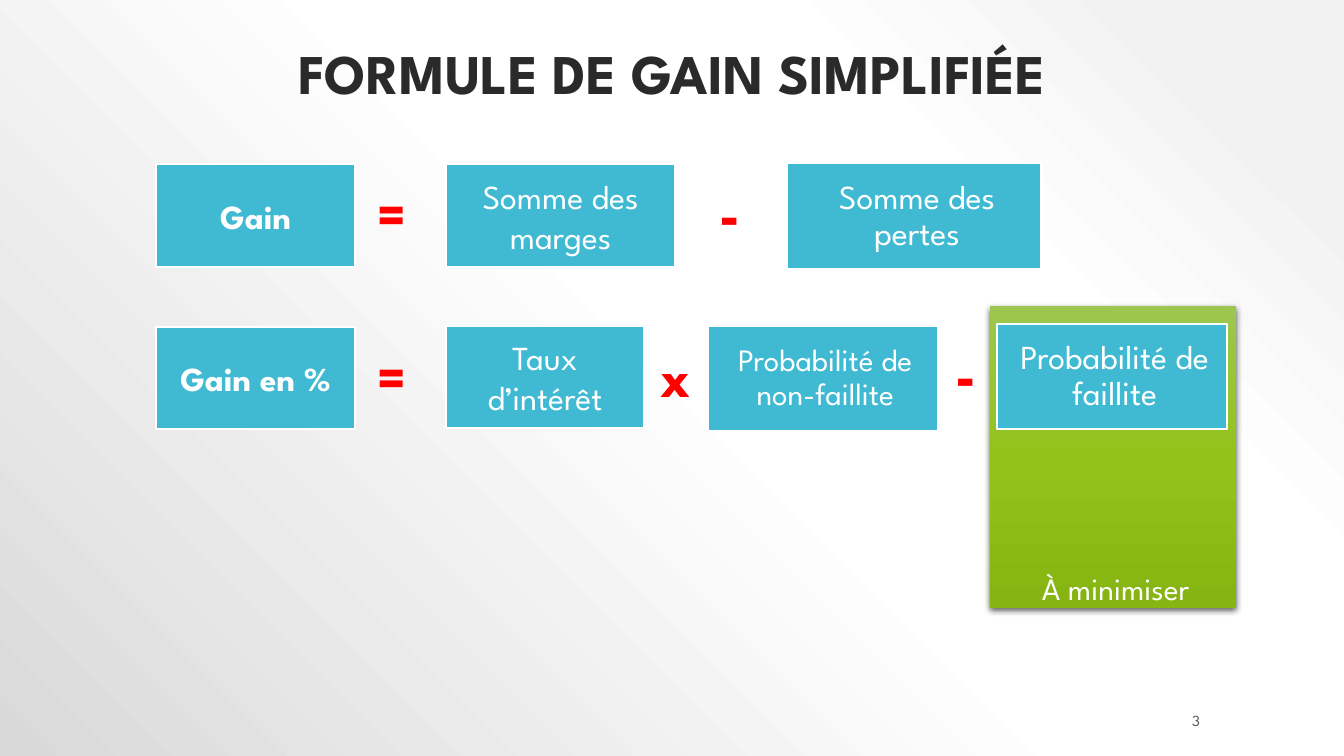
from lxml import etree
from pptx import Presentation
from pptx.dml.color import RGBColor
from pptx.enum import shapes, text
from pptx.oxml import ns
from pptx import util as u

PX = 9144  # EMU per px, 100 px to the inch
CENTER, MIDDLE = text.PP_ALIGN.CENTER, text.MSO_ANCHOR.MIDDLE


def color(value):
    return RGBColor.from_string(value)


def px(*lengths):
    return [u.Emu(length * PX) for length in lengths]


def add_xml(parent, tag, **attributes):
    return etree.SubElement(parent, ns.qn(tag), attributes)


class Slide:
    font, white, dark, red, blue = "League Spartan", "FFFFFF", "2A2A2A", "FF0000", "40BAD2"

    def __init__(self, deck):
        self.page = deck.slides.add_slide(deck.slide_layouts[5])

    def set_text(self, shape, words, size, ink, bold=False, align=CENTER,
                 anchor=MIDDLE, spacing=1.0, indent=0, wrap=True):
        frame = shape.text_frame
        frame.word_wrap, frame.vertical_anchor = wrap, anchor
        para = frame.paragraphs[0]
        para.text, para.alignment, para.line_spacing = words, align, spacing
        font = para.font
        font.name, font.size, font.bold = self.font, u.Pt(size), bold
        font.color.rgb = color(ink)
        if indent:
            properties = para._p.get_or_add_pPr()
            properties.set("marL", str(indent * PX))
            properties.set("indent", "0")

    def gradient(self, fill, owner, stops):
        """Fill with (percent, colour) stops and return the gradient element."""
        fill.gradient()
        grad = owner.find(".//" + ns.qn("a:gradFill"))
        for child in list(grad):
            grad.remove(child)
        stop_list = add_xml(grad, "a:gsLst")
        for percent, value in stops:
            stop = add_xml(stop_list, "a:gs", pos=str(percent * 1000))
            add_xml(stop, "a:srgbClr", val=value)
        return grad

    def background(self, stops):
        grad = self.gradient(self.page.background.fill, self.page._element, stops)
        circle = add_xml(grad, "a:path", path="circle")
        add_xml(circle, "a:fillToRect", l="100000", b="100000")

    def title(self, words, *place):
        title = self.page.shapes.title
        title.left, title.top, title.width, title.height = px(*place)
        self.set_text(title, words, 40, self.dark, True,
                      anchor=text.MSO_ANCHOR.BOTTOM, spacing=0.9)

    def rectangle(self, *place):
        shape = self.page.shapes.add_shape(shapes.MSO_SHAPE.RECTANGLE, *px(*place))
        shape.shadow.inherit = False
        return shape

    def box(self, words, *place, size=24, **style):
        shape = self.rectangle(*place)
        shape.fill.solid()
        shape.fill.fore_color.rgb = color(self.blue)
        shape.line.color.rgb = color(self.white)
        shape.line.width = u.Pt(1.5)
        self.set_text(shape, words, size, self.white, **style)

    def panel(self, words, *place, stops):
        shape = self.rectangle(*place)
        shape.line.fill.background()
        grad = self.gradient(shape.fill, shape._element, stops)
        add_xml(grad, "a:lin", ang="5400000", scaled="0")
        effects = shape._element.spPr.find(ns.qn("a:effectLst"))
        shadow = add_xml(effects, "a:outerShdw", blurRad=str(u.Pt(4.5)),
                         dist=str(u.Pt(1.5)), dir="5400000", rotWithShape="0")
        add_xml(add_xml(shadow, "a:srgbClr", val="000000"), "a:alpha", val="63000")
        shape.text_frame.margin_bottom = u.Emu(2 * PX)
        self.set_text(shape, words, 22.2, self.white, anchor=text.MSO_ANCHOR.BOTTOM,
                      spacing=0.7, indent=5)

    def label(self, words, *place, size, ink, **style):
        self.set_text(self.page.shapes.add_textbox(*px(*place)), words, size, ink, **style)

    def operator(self, sign, left, top, width):
        self.label(sign, left, top, width, 71, size=40, ink=self.red, bold=True,
                   align=text.PP_ALIGN.LEFT, anchor=text.MSO_ANCHOR.TOP,
                   spacing=0.9, wrap=False)


def main():
    deck = Presentation()
    deck.slide_width, deck.slide_height = px(1333, 750)
    slide = Slide(deck)

    # Backdrop, title and page number
    slide.background([(10, "F2F2F2"), (28, "FFFFFF"), (48, "FFFFFF"), (100, "D9D9D9")])
    slide.title("FORMULE DE GAIN SIMPLIFIÉE", 133, 30, 1067, 81)
    slide.label("3", 1075, 705, 125, 20, size=11, ink="545454", align=text.PP_ALIGN.RIGHT)

    # Highlight behind the term to minimise
    slide.panel("À minimiser", 982, 304, 244, 299,
                stops=[(0, "9DC650"), (50, "93C31B"), (100, "86B412")])

    # Left-hand side of both formulas
    for result, top in (("Gain", 163), ("Gain en %", 324)):
        slide.box(result, 155, top, 197, 102, bold=True)
        slide.operator("=", 365, top + 17, 54)

    # Right-hand terms
    tight = dict(spacing=0.9, indent=5)
    slide.box("Somme des marges", 442, 163, 228, 102)
    slide.box("Somme des pertes", 781, 162, 252, 105, **tight)
    slide.box("Taux d’intérêt", 442, 323, 197, 102)
    slide.box("Probabilité de non-faillite", 702, 323, 228, 105, size=22.2, **tight)
    slide.box("Probabilité de faillite", 989, 321, 228, 105, **tight)

    # Operators between the terms
    slide.operator("-", 704, 180, 44)
    slide.operator("x", 645, 341, 52)
    slide.operator("-", 938, 339, 44)

    deck.save("out.pptx")


if __name__ == "__main__":
    main()
